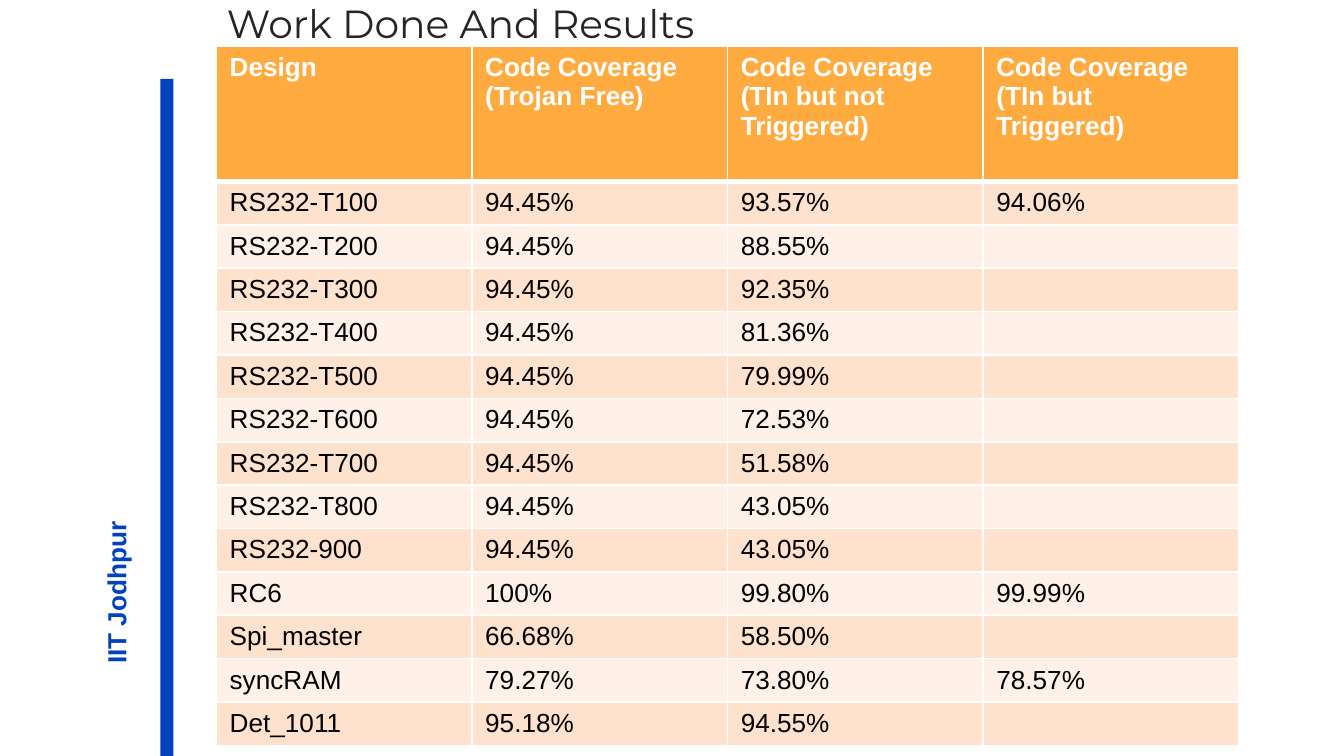
import pptx
import pptx.dml.color
import pptx.enum.shapes
import pptx.enum.text
import pptx.oxml.ns
import pptx.util
from lxml import etree

Cm = pptx.util.Cm
Pt = pptx.util.Pt

COLORS = {
    "accent": "0043C1",
    "title": "252525",
    "header": "FFAB40",
    "odd_row": "FFE2CD",
    "even_row": "FFF1E8",
    "white": "FFFFFF",
    "text": "000000",
}

HEADERS = [
    "Design",
    "Code Coverage\n(Trojan Free)",
    "Code Coverage\n(TIn but not Triggered)",
    "Code Coverage\n(TIn but Triggered)",
]
RESULTS = [
    ("RS232-T100", "94.45%", "93.57%", "94.06%"),
    ("RS232-T200", "94.45%", "88.55%", ""),
    ("RS232-T300", "94.45%", "92.35%", ""),
    ("RS232-T400", "94.45%", "81.36%", ""),
    ("RS232-T500", "94.45%", "79.99%", ""),
    ("RS232-T600", "94.45%", "72.53%", ""),
    ("RS232-T700", "94.45%", "51.58%", ""),
    ("RS232-T800", "94.45%", "43.05%", ""),
    ("RS232-900", "94.45%", "43.05%", ""),
    ("RC6", "100%", "99.80%", "99.99%"),
    ("Spi_master", "66.68%", "58.50%", ""),
    ("syncRAM", "79.27%", "73.80%", "78.57%"),
    ("Det_1011", "95.18%", "94.55%", ""),
]


def rgb(name):
    return pptx.dml.color.RGBColor.from_string(COLORS[name])


def write_text(text_frame, text, size=14, font="Arial", color="text", bold=False):
    text_frame.text = text
    for paragraph in text_frame.paragraphs:
        paragraph.alignment = pptx.enum.text.PP_ALIGN.LEFT
        paragraph.space_before = Pt(0)
        for run in paragraph.runs:
            run.font.size = Pt(size)
            run.font.name = font
            run.font.bold = bold
            run.font.color.rgb = rgb(color)
        if not paragraph.runs:
            end = etree.SubElement(paragraph._p, pptx.oxml.ns.qn("a:endParaRPr"))
            end.set("sz", str(size * 100))
            latin = etree.SubElement(end, pptx.oxml.ns.qn("a:latin"))
            latin.set("typeface", font)


def place(shape, left, top, width, height):
    shape.left, shape.top = Cm(left), Cm(top)
    shape.width, shape.height = Cm(width), Cm(height)


def place_upward(shape, left, top, width, height):
    shift = (height - width) / 2
    place(shape, left - shift, top + shift, height, width)
    shape.rotation = 270


def fill_placeholder(shape, text, anchor, **text_format):
    text_frame = shape.text_frame
    text_frame.margin_left = text_frame.margin_right = Cm(0.25)
    text_frame.margin_top = text_frame.margin_bottom = Cm(0.25)
    text_frame.word_wrap = True
    text_frame.auto_size = pptx.enum.text.MSO_AUTO_SIZE.NONE
    text_frame.vertical_anchor = anchor
    write_text(text_frame, text, **text_format)


def add_title(slide, left, top, width, height):
    title = slide.shapes.title
    place(title, left, top, width, height)
    fill_placeholder(title, "Work Done And Results", pptx.enum.text.MSO_ANCHOR.MIDDLE,
                     size=21, font="Montserrat", color="title")


def add_sidebar(slide, left, top, width, height):
    bar_width = 0.25
    bar = slide.shapes.add_shape(pptx.enum.shapes.MSO_SHAPE.RECTANGLE, 0, 0, 0, 0)
    place_upward(bar, left + width - bar_width, top, bar_width, height)
    bar.shadow.inherit = False
    bar.fill.solid()
    bar.fill.fore_color.rgb = rgb("accent")
    bar.line.fill.background()

    label = slide.placeholders[1]
    place_upward(label, left, top - 2.43, 1.6, 13.74)
    fill_placeholder(label, "IIT Jodhpur", pptx.enum.text.MSO_ANCHOR.BOTTOM,
                     color="accent", bold=True)


def add_borders(cell, **widths):
    properties = cell._tc.get_or_add_tcPr()
    for side in "LRTB":
        line = etree.SubElement(properties, pptx.oxml.ns.qn(f"a:ln{side}"))
        line.set("w", str(Pt(widths.get(side, 1))))
        fill = etree.SubElement(line, pptx.oxml.ns.qn("a:solidFill"))
        color = etree.SubElement(fill, pptx.oxml.ns.qn("a:srgbClr"))
        color.set("val", COLORS["white"])


def add_cell(cell, text, fill, borders, **text_format):
    cell.margin_left = cell.margin_right = Cm(0.25)
    cell.margin_top = cell.margin_bottom = Cm(0.125)
    write_text(cell.text_frame, text, **text_format)
    add_borders(cell, **borders)
    cell.fill.solid()
    cell.fill.fore_color.rgb = rgb(fill)


def add_results_table(slide, left, top, width, header_height, row_height):
    rows = [HEADERS, *RESULTS]
    height = header_height + row_height * len(RESULTS)
    table = slide.shapes.add_table(len(rows), len(HEADERS), Cm(left), Cm(top),
                                   Cm(width), Cm(height)).table
    for column in table.columns:
        column.width = Cm(width / len(HEADERS))
    for row_index, values in enumerate(rows):
        is_header = row_index == 0
        table.rows[row_index].height = Cm(header_height if is_header else row_height)
        if is_header:
            fill, borders = "header", {"B": 3}
        else:
            fill = "odd_row" if row_index % 2 else "even_row"
            borders = {"T": 3} if row_index == 1 else {}
        for column_index, value in enumerate(values):
            add_cell(table.cell(row_index, column_index), value, fill, borders,
                     color="white" if is_header else "text", bold=is_header)


def main():
    presentation = pptx.Presentation()
    presentation.slide_width = Cm(25.4)
    presentation.slide_height = Cm(14.29)
    slide = presentation.slides.add_slide(presentation.slide_layouts[0])
    add_sidebar(slide, left=1.14, top=1.49, width=2.14, height=12.83)
    add_title(slide, left=4.04, top=-0.23, width=18.92, height=1.32)
    add_results_table(slide, left=4.09, top=0.87, width=19.32,
                      header_height=2.56, row_height=0.82)
    presentation.save("out.pptx")


if __name__ == "__main__":
    main()
